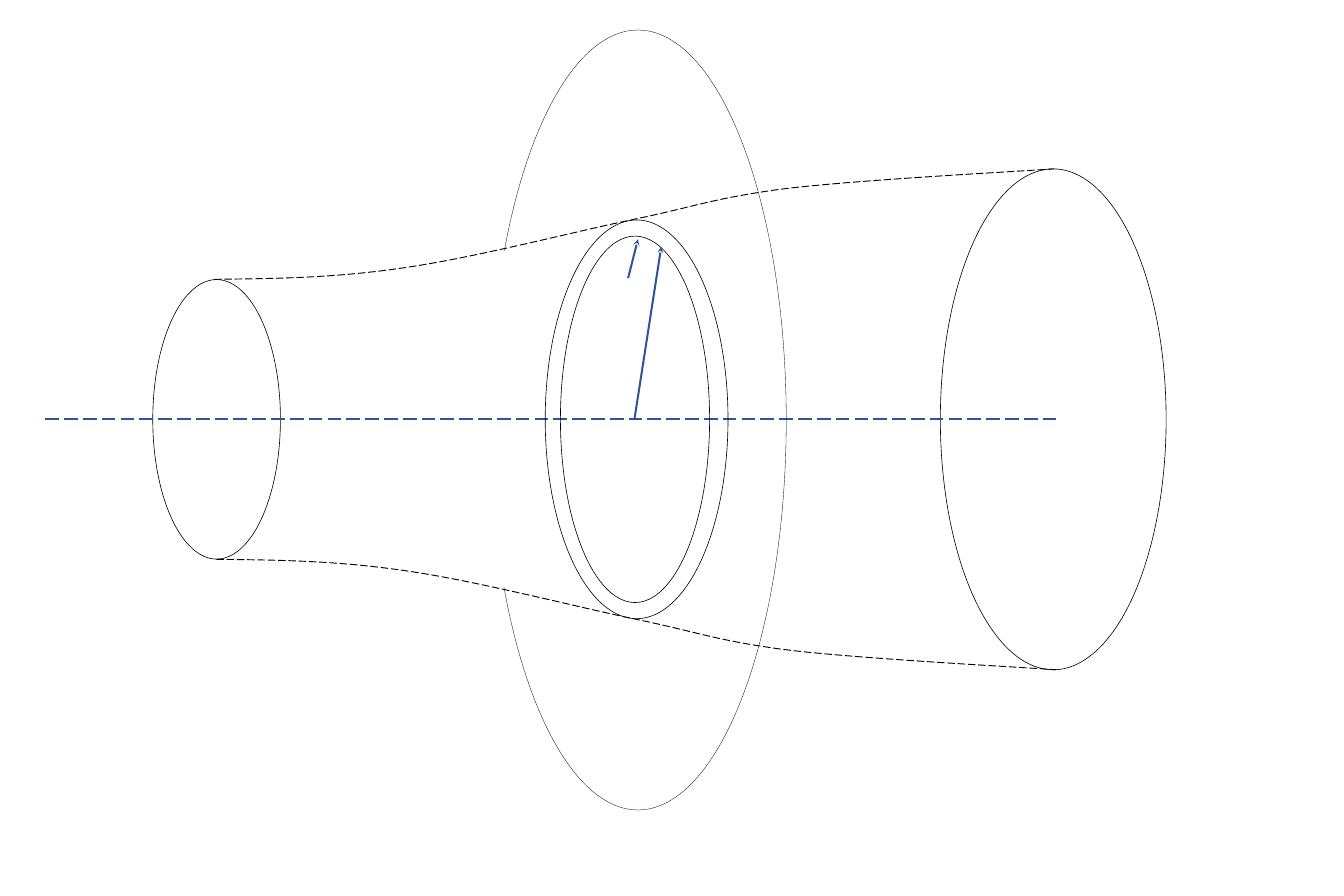
from typing import NamedTuple

from lxml import etree
from pptx import Presentation
from pptx import util as u
from pptx.dml.color import RGBColor
from pptx.dml.line import LineFormat
from pptx.enum import dml, shapes
from pptx.oxml import ns
from pptx.shapes.autoshape import Shape

BLACK = RGBColor(0x00, 0x00, 0x00)
BLUE = RGBColor(0x2F, 0x55, 0x97)

SLIDE_W, SLIDE_H = 2160, 1440
AXIS_Y = 673.92
CURVE_STEPS = 16


class Point(NamedTuple):
    x: float
    y: float


class Section(NamedTuple):
    """Cross-section centred on the axis."""
    center_x: float
    width: float
    height: float


class Arrow(NamedTuple):
    tail: Point
    tip: Point


END_SECTIONS = [Section(1692.72, 362.88, 804.96), Section(348.12, 205.2, 449.28)]
RING_SECTIONS = [Section(1023.12, 293.76, 640.8), Section(1020.6, 239.76, 588.96)]

RADIUS_ARROWS = [
    Arrow(Point(1019.52, 674.64), Point(1062.72, 396.72)),
    Arrow(Point(1009.44, 447.12), Point(1025.28, 384.48)),
]

# Upper wall: start point, then three control points per cubic segment
WALL = [Point(*xy) for xy in [
    (344.16, 448.9),
    (439.92, 447.84), (535.68, 447.12), (648, 430.56),
    (760.32, 414.72), (917.28, 373.68), (1017.36, 352.8),
    (1118.16, 331.92), (1142.64, 319.68), (1251.36, 304.56),
    (1360.8, 290.16), (1620.72, 276.48), (1694.16, 271.44),
]]
LOWER_WALL_SHIFT = 3.6


def style_line(line: LineFormat, color: RGBColor, width: float,
               dashed: bool = False) -> None:
    line.color.rgb = color
    line.width = u.Pt(width)
    if dashed:
        line.dash_style = dml.MSO_LINE.LONG_DASH


def style_outline(sp: Shape, width: float, dashed: bool = False) -> None:
    sp.shadow.inherit = False
    sp.fill.background()
    style_line(sp.line, BLACK, width, dashed)


def add_section(section: Section) -> None:
    sp = s.shapes.add_shape(
        shapes.MSO_SHAPE.OVAL,
        u.Pt(section.center_x - section.width / 2),
        u.Pt(AXIS_Y - section.height / 2),
        u.Pt(section.width), u.Pt(section.height))
    style_outline(sp, 1)


def bezier(a: Point, b: Point, c: Point, d: Point, t: float) -> Point:
    k = 1 - t
    weights = (k ** 3, 3 * k * k * t, 3 * k * t * t, t ** 3)
    return Point(sum(w * p.x for w, p in zip(weights, (a, b, c, d))),
                 sum(w * p.y for w, p in zip(weights, (a, b, c, d))))


def add_wall(controls: list[Point]) -> None:
    curve = [bezier(*controls[i:i + 4], step / CURVE_STEPS)
             for i in range(0, len(controls) - 1, 3)
             for step in range(1, CURVE_STEPS + 1)]
    start = controls[0]
    builder = s.shapes.build_freeform(u.Pt(start.x), u.Pt(start.y))
    builder.add_line_segments([(u.Pt(p.x), u.Pt(p.y)) for p in curve], close=False)
    style_outline(builder.convert_to_shape(), 1.5, dashed=True)


def add_line(start: Point, end: Point, width: float,
             dashed: bool = False, arrowhead: bool = False) -> None:
    cx = s.shapes.add_connector(shapes.MSO_CONNECTOR.STRAIGHT, u.Pt(start.x),
                                u.Pt(start.y), u.Pt(end.x), u.Pt(end.y))
    style_line(cx.line, BLUE, width, dashed)
    if arrowhead:
        ln = cx.line._get_or_add_ln()
        etree.SubElement(ln, ns.qn("a:tailEnd"), type="stealth")
    etree.SubElement(cx._element.spPr, ns.qn("a:effectLst"))


prs = Presentation()
prs.slide_width, prs.slide_height = u.Pt(SLIDE_W), u.Pt(SLIDE_H)
s = prs.slides.add_slide(prs.slide_layouts[6])

# End sections
for section in END_SECTIONS:
    add_section(section)

# Upper wall and its reflection in the axis
add_wall(WALL)
add_wall([Point(p.x + LOWER_WALL_SHIFT, 2 * AXIS_Y - p.y) for p in WALL])

# Axis
add_line(Point(1697.76, AXIS_Y), Point(69.84, AXIS_Y), 2.75, dashed=True)

# Ring in the middle
for section in RING_SECTIONS:
    add_section(section)

# Radius arrows
for arrow in RADIUS_ARROWS:
    add_line(arrow.tail, arrow.tip, 3.25, arrowhead=True)

# Outer arc, open on the left; angles are in 60000ths of a degree
arc = s.shapes.add_shape(shapes.MSO_SHAPE.ARC, u.Pt(786.96), u.Pt(48.24),
                         u.Pt(476.64), u.Pt(1253.52))
for i, degrees in enumerate((231.73, 128.67)):
    arc.adjustments[i] = degrees * 60000 / 100000
style_outline(arc, 0.5)

prs.save("out.pptx")
